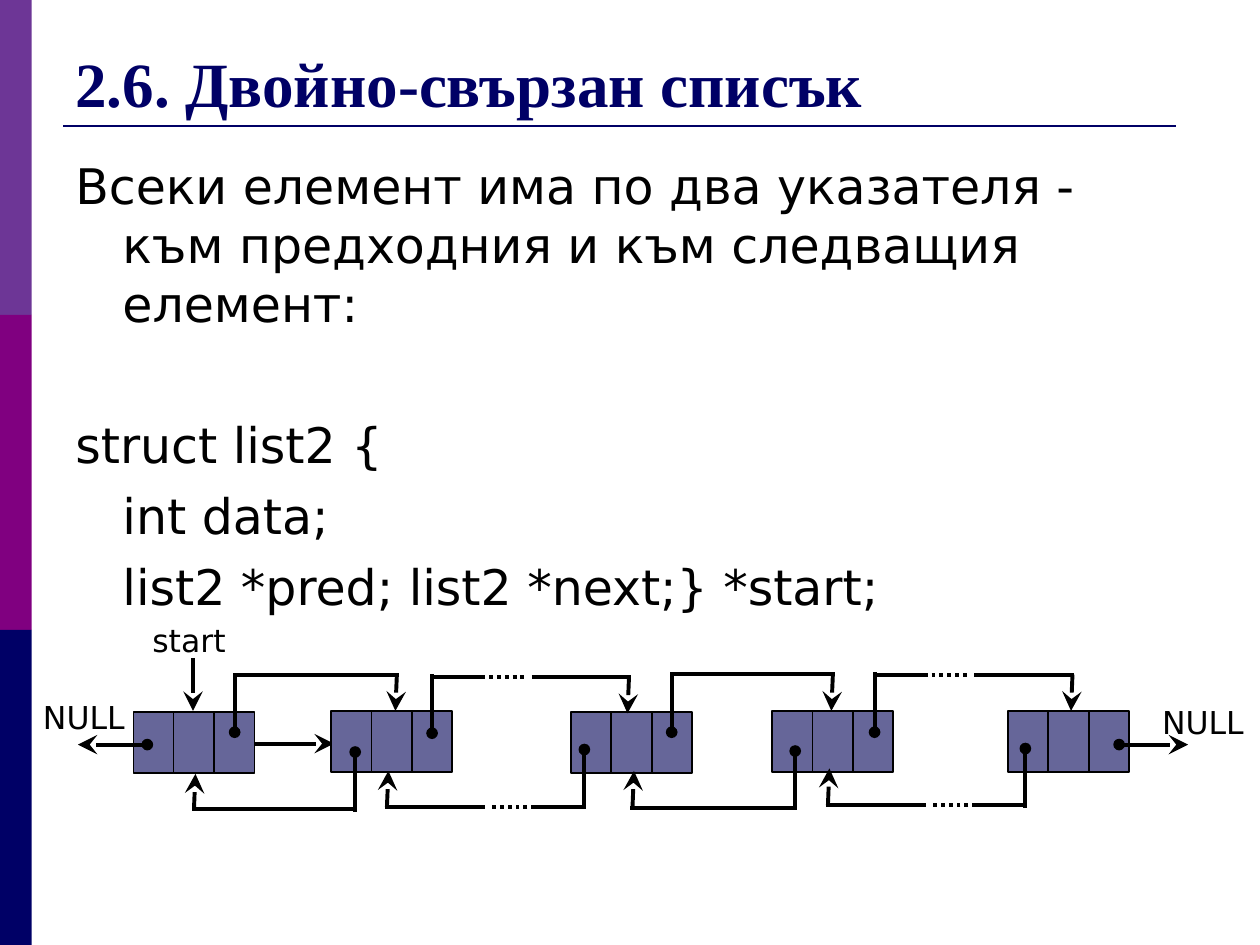
from pptx import Presentation
from pptx.dml.color import RGBColor
from pptx.enum.dml import MSO_LINE
from pptx.enum.shapes import MSO_CONNECTOR, MSO_SHAPE
from pptx.enum.text import MSO_ANCHOR, PP_ALIGN
from pptx.oxml.ns import qn
from pptx.util import Cm, Pt
from lxml import etree

RECT = MSO_SHAPE.RECTANGLE
LINE = MSO_CONNECTOR.STRAIGHT
DOTS = MSO_LINE.ROUND_DOT
TOP, LOW = MSO_ANCHOR.TOP, MSO_ANCHOR.BOTTOM
LEFT, MID = PP_ALIGN.LEFT, PP_ALIGN.CENTER

HUES = {"navy": "000066", "plum": "800080", "violet": "6D3696",
        "cell": "666699", "black": "000000"}
SANS, SERIF = "DejaVu Sans", "Times New Roman"


class Deck:
    """Holds the style and the current slide, and draws each kind of element."""

    def __init__(self):
        self.file = Presentation()
        self.file.slide_width, self.file.slide_height = Cm(25.4), Cm(19.05)
        self.slide = self.file.slides.add_slide(self.file.slide_layouts[6])
        self.shapes = self.slide.shapes

    def hue(self, name):
        return RGBColor.from_string(HUES[name])

    def box(self, x, y, w, h, fill, edge=None):
        shape = self.shapes.add_shape(RECT, Cm(x), Cm(y), Cm(w), Cm(h))
        shape.shadow.inherit = False
        shape.fill.solid()
        shape.fill.fore_color.rgb = self.hue(fill)
        if edge:
            shape.line.color.rgb = self.hue(edge)
            shape.line.width = Pt(1)
        else:
            shape.line.fill.background()

    def line(self, x1, y1, x2, y2, hue="black", width=2.25,
             dot=False, arrow=False, dash=None):
        line = self.shapes.add_connector(LINE, Cm(x1), Cm(y1), Cm(x2), Cm(y2))
        line.line.color.rgb = self.hue(hue)
        line.line.width = Pt(width)
        if dash:
            line.line.dash_style = dash
        props = line.line._get_or_add_ln()
        if dot:
            etree.SubElement(props, qn("a:headEnd"), type="oval")
        if arrow:
            etree.SubElement(props, qn("a:tailEnd"), type="stealth", w="lg", len="lg")
        etree.SubElement(line._element.spPr, qn("a:effectLst"))

    def text(self, x, y, w, h, words, size, font=SANS, hue="black",
             bold=False, align=LEFT, anchor=TOP, pad=None):
        frame = self.shapes.add_textbox(Cm(x), Cm(y), Cm(w), Cm(h)).text_frame
        frame.word_wrap = True
        frame.vertical_anchor = anchor
        if pad is not None:
            frame.margin_left = frame.margin_right = Cm(pad)
            frame.margin_top = frame.margin_bottom = 0
        frame.text = words
        for para in frame.paragraphs:
            para.alignment = align
            for run in para.runs:
                run.font.size = Pt(size)
                run.font.name = font
                run.font.bold = bold
                run.font.color.rgb = self.hue(hue)
        return frame

    def label(self, mid, y, words):
        self.text(mid - 1.15, y, 2.3, 0.8, words, 18, align=MID, pad=0.1)

    def body(self, x, y, w, h, rows):
        frame = self.text(x, y, w, h, "\n".join(row[0] for row in rows), 28)
        for para, (_, hang, space) in zip(frame.paragraphs, rows):
            para.line_spacing = Pt(33.5)
            para.space_before = Pt(space)
            props = para._p.get_or_add_pPr()
            props.set("marL", str(Cm(0.95)))
            props.set("indent", str(Cm(-0.95 if hang else 0)))

    def node(self, x, y):
        for step, width in ((0.75, 0.89), (1.63, 0.81), (0, 0.81)):
            self.box(x + step, y, width, 1.24, "cell", "black")

    def link(self, x1, y1, bar, x2, y2, gap):
        side = 1 if x2 > x1 else -1
        rise = 0.05 if bar > y1 else -0.05
        end = x2 + side * 0.04
        self.line(x1, y1, x1, bar + rise, dot=True)
        self.line(x2, bar, x2 - side * 0.03, y2, arrow=True)
        if gap:
            self.line(x1, bar, x1 + side * 1.07, bar)
            self.line(x1 + side * 1.15, bar, x1 + side * 1.93, bar, dash=DOTS)
            self.line(x1 + side * 2.01, bar, end, bar)
        else:
            self.line(x1, bar, end, bar)


def main():
    deck = Deck()
    for row, hue in enumerate(("violet", "plum", "navy")):
        deck.box(0, row * 6.35, 0.64, 6.35, hue)
    deck.line(1.27, 2.54, 23.7, 2.54, "navy", 1.5)
    deck.text(1.27, 0.76, 22.86, 1.78, "2.6. Двойно-свързан списък", 36,
              SERIF, "navy", True, anchor=LOW)
    deck.body(1.27, 3.02, 22.86, 9.3, (
        ("Всеки елемент има по два указателя - към предходния "
         "и към следващия елемент:", True, 0),
        ("struct list2 {", True, 47.5),
        ("int data;", False, 7),
        ("list2 *pred; list2 *next;} *start;", False, 7)))

    deck.line(4.72, 14.99, 6.73, 14.99, dot=True, arrow=True)
    for x, y in ((2.69, 14.35), (6.68, 14.33), (11.51, 14.35),
                 (15.57, 14.33), (20.32, 14.33)):
        deck.node(x, y)

    deck.label(3.81, 12.52, "start")
    deck.label(1.69, 14.08, "NULL")
    deck.label(24.25, 14.17, "NULL")
    deck.line(3.89, 13.26, 3.89, 14.33, arrow=True)
    deck.line(22.56, 15.01, 23.95, 15.01, dot=True, arrow=True)
    deck.line(2.97, 15.01, 1.57, 15.01, dot=True, arrow=True)

    nexts = ((4.73, 14.76, 13.61, 8, 14.33), (8.71, 14.78, 13.64, 12.68, 14.38),
             (13.54, 14.76, 13.59, 16.79, 14.33), (17.63, 14.76, 13.6, 21.62, 14.33))
    preds = ((7.16, 15.16, 16.31, 3.91, 15.6), (11.78, 15.11, 16.26, 7.8, 15.54),
             (16.03, 15.14, 16.28, 12.75, 15.54), (20.67, 15.09, 16.23, 16.69, 15.49))
    for chain in (nexts, preds):
        for i, ends in enumerate(chain):
            deck.link(*ends, gap=i % 2 == 1)
    deck.file.save("out.pptx")


if __name__ == "__main__":
    main()
